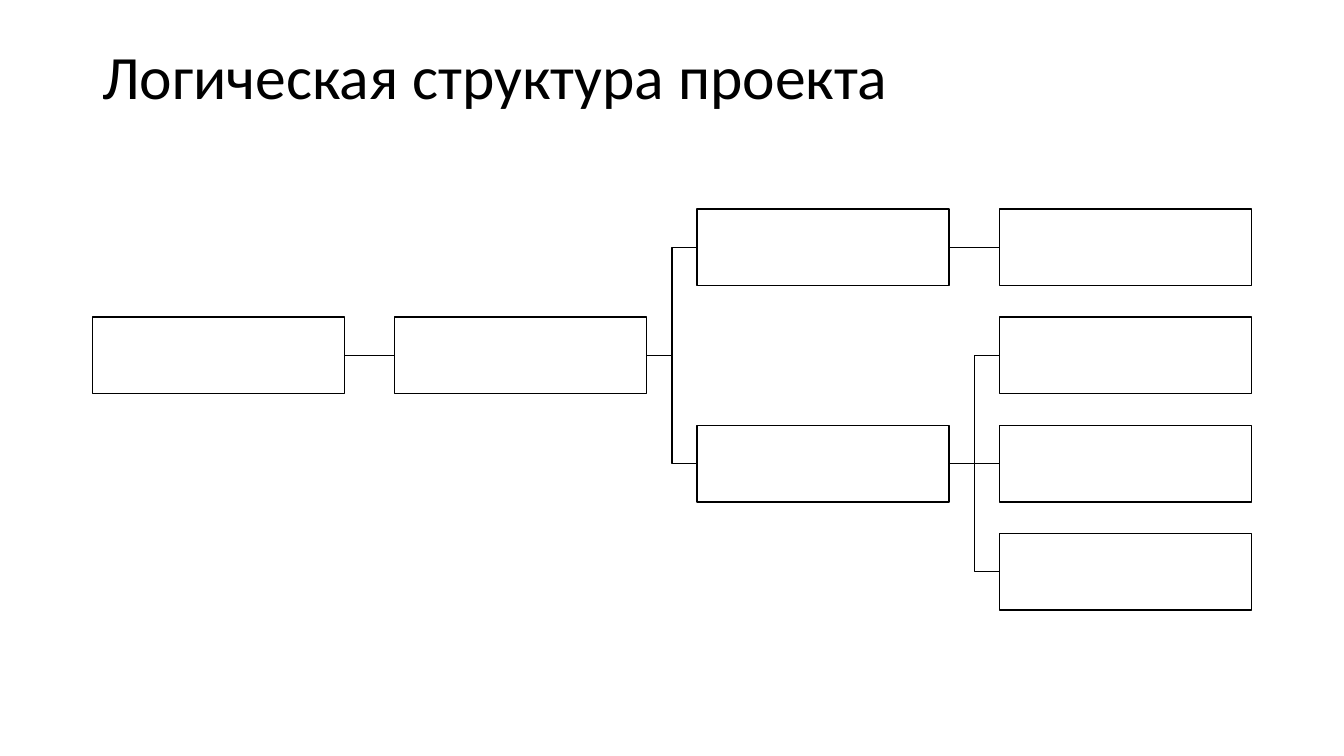
from dataclasses import dataclass

from pptx import Presentation
from pptx.dml.color import RGBColor
from pptx.enum.shapes import MSO_CONNECTOR as CONN, MSO_SHAPE as SHAPE
from pptx.enum.text import MSO_ANCHOR as ANCHOR
from pptx.oxml import parse_xml
from pptx.oxml.ns import nsdecls
from pptx.util import Pt

PX = 9525  # EMU in one px, 96 px to the inch
RIGHT, LEFT = 3, 1


@dataclass(frozen=True)
class Theme:
    ink: RGBColor = RGBColor(0, 0, 0)
    paper: RGBColor = RGBColor(255, 255, 255)
    font: str = "Calibri"
    title_size: int = 44
    line_width: int = 1


THEME = Theme()

# Node name: (column, row, parent)
NODES = {
    "project": (0, 1, None),
    "stage": (1, 1, "project"),
    "upper branch": (2, 0, "stage"),
    "lower branch": (2, 2, "stage"),
    "upper leaf": (3, 0, "upper branch"),
    "lower leaf 1": (3, 1, "lower branch"),
    "lower leaf 2": (3, 2, "lower branch"),
    "lower leaf 3": (3, 3, "lower branch"),
}


def px(*lengths):
    return [n * PX for n in lengths]


def add_text(slide, box, text, size, color=THEME.ink, font=THEME.font,
             anchor=ANCHOR.MIDDLE, spacing=0.9):
    tf = slide.shapes.add_textbox(*px(*box)).text_frame
    tf.word_wrap = True
    tf.vertical_anchor = anchor
    p = tf.paragraphs[0]
    p.line_spacing = spacing
    r = p.add_run()
    r.text = text
    r.font.size, r.font.name = Pt(size), font
    r.font.color.rgb = color


def set_line(line):
    line.color.rgb = THEME.ink
    line.width = Pt(THEME.line_width)


def add_node(slide, box):
    sp = slide.shapes.add_shape(SHAPE.RECTANGLE, *px(*box))
    sp.shadow.inherit = False
    sp.fill.solid()
    sp.fill.fore_color.rgb = THEME.paper
    set_line(sp.line)
    return sp


def add_link(slide, parent, child):
    """Join the parent's right side to the child's left side."""
    kind = CONN.STRAIGHT if parent.top == child.top else CONN.ELBOW
    cxn = slide.shapes.add_connector(kind, 0, 0, 0, 0)
    cxn.begin_connect(parent, RIGHT)
    cxn.end_connect(child, LEFT)
    set_line(cxn.line)
    cxn._element.spPr.append(parse_xml(f"<a:effectLst {nsdecls('a')}/>"))


def add_tree(slide, box, col_gap=48, row_gap=30):
    """Lay NODES out on an even grid that fills the box."""
    x, y, w, h = box
    cols = 1 + max(col for col, _, _ in NODES.values())
    rows = 1 + max(row for _, row, _ in NODES.values())
    node_w = (w - (cols - 1) * col_gap) // cols
    node_h = (h - (rows - 1) * row_gap) // rows
    shapes = {}
    for name, (col, row, parent) in NODES.items():
        left = x + col * (node_w + col_gap)
        top = y + row * (node_h + row_gap)
        shapes[name] = add_node(slide, (left, top, node_w, node_h))
        if parent:
            add_link(slide, shapes[parent], shapes[name])


def main():
    prs = Presentation()
    prs.slide_width, prs.slide_height = px(1280, 720)
    slide = prs.slides.add_slide(prs.slide_layouts[6])
    add_text(slide, (88, 38, 1104, 76), "Логическая структура проекта",
             size=THEME.title_size)
    add_tree(slide, (88, 199, 1104, 382))
    prs.save("out.pptx")


if __name__ == "__main__":
    main()
